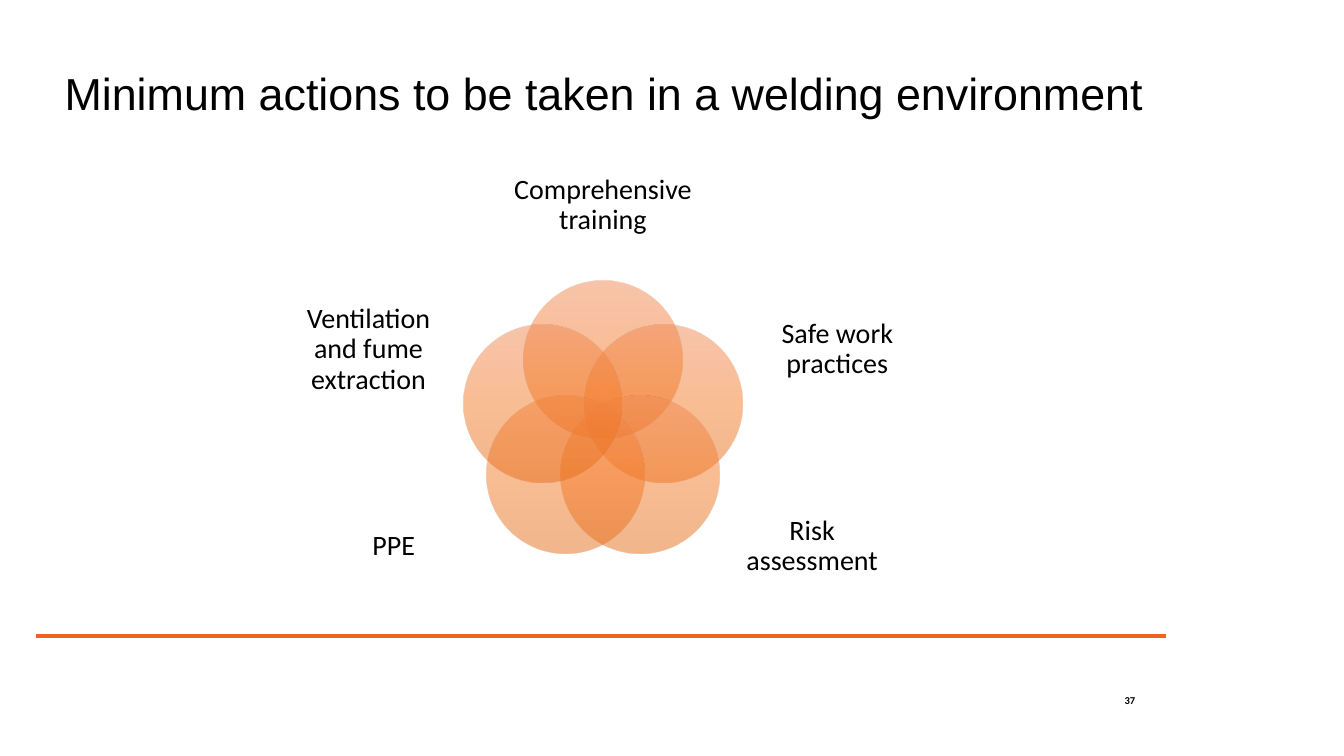
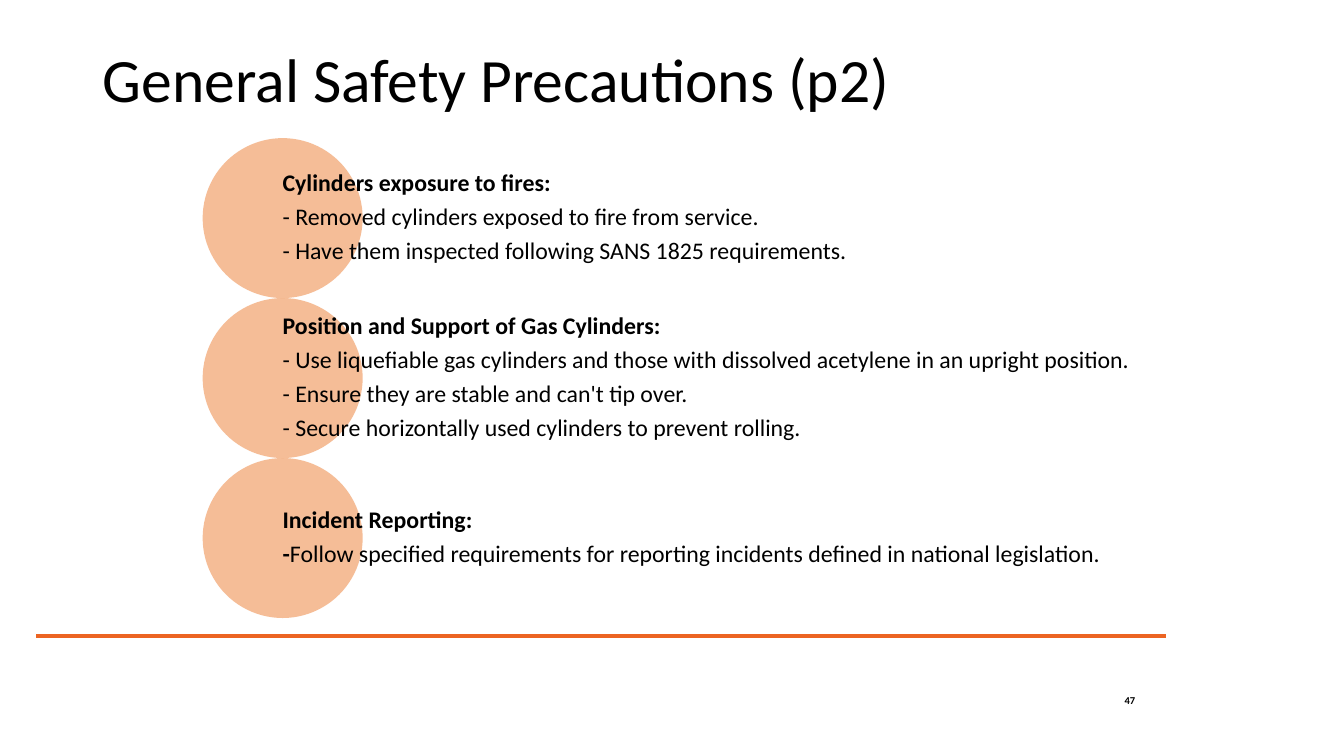
from math import cos, sin, radians
from lxml import etree
from pptx import Presentation
from pptx.dml.color import RGBColor
from pptx.enum.shapes import MSO_CONNECTOR, MSO_SHAPE
from pptx.enum.text import MSO_ANCHOR, MSO_AUTO_SIZE, PP_ALIGN
from pptx.oxml.ns import qn
from pptx.util import Inches, Pt

# Shared style
COLORS = {"text": "000000", "rule": "EC6422", "circle": "ED7D31",
          "light": "F18C57", "mid": "F67B28", "dark": "E56C19"}
FONT = "Calibri"
ALPHA = "50000"

# Content: label, then box left, top, width, height; clockwise from the top
VENN_TITLE = "Minimum actions to be taken in a welding environment"
VENN = [
    ("Comprehensive training", (5.07, 1.51, 1.82, 1.05)),
    ("Safe work practices", (7.49, 2.9, 1.63, 1.14)),
    ("Risk assessment", (7.24, 4.85, 1.63, 1.14)),
    ("PPE", (3.09, 4.85, 1.63, 1.14)),
    ("Ventilation and fume extraction", (2.84, 2.9, 1.63, 1.14)),
]
# Content: heading, bold lead of each point, points
RULES_TITLE = "General Safety Precautions (p2)"
RULES = [
    ("Cylinders exposure to fires:", "", [
        "- Removed cylinders exposed to fire from service.",
        "- Have them inspected following SANS 1825 requirements."]),
    ("Position and Support of Gas Cylinders:", "", [
        "- Use liquefiable gas cylinders and those with dissolved acetylene in an upright position.",
        "- Ensure they are stable and can't tip over.",
        "- Secure horizontally used cylinders to prevent rolling."]),
    ("Incident Reporting:", "-", [
        "Follow specified requirements for reporting incidents defined in national legislation."]),
]


def rgb(name):
    return RGBColor.from_string(COLORS[name])


def add_text(slide, box, paragraphs, size, align=PP_ALIGN.LEFT, spacing=0.9):
    """Each paragraph is a list of (text, bold) runs."""
    tf = slide.shapes.add_textbox(*map(Inches, box)).text_frame
    tf.word_wrap = True
    tf.vertical_anchor = MSO_ANCHOR.MIDDLE
    tf.margin_left = tf.margin_right = tf.margin_top = tf.margin_bottom = 0
    for i, runs in enumerate(paragraphs):
        p = tf.add_paragraph() if i else tf.paragraphs[0]
        p.alignment, p.line_spacing = align, spacing
        p.space_after = Pt(size * 0.35)
        for text, bold in runs:
            r = p.add_run()
            r.text = text
            r.font.size, r.font.bold, r.font.name = Pt(size), bold, FONT
            r.font.color.rgb = rgb("text")


def add_circle(slide, left, top, size):
    sp = slide.shapes.add_shape(MSO_SHAPE.OVAL, *map(Inches, (left, top, size, size)))
    sp.shadow.inherit = False
    sp.line.fill.background()
    return sp


def set_alpha(color):
    etree.SubElement(color, qn("a:alpha"), val=ALPHA)


def fill_gradient(sp):
    sp.fill.gradient()
    sp.fill.gradient_angle = 270
    stops = sp.fill._fill._gradFill.find(qn("a:gsLst"))
    for gs in list(stops):
        stops.remove(gs)
    for pos, name in (("0", "light"), ("50000", "mid"), ("100000", "dark")):
        gs = etree.SubElement(stops, qn("a:gs"), pos=pos)
        set_alpha(etree.SubElement(gs, qn("a:srgbClr"), val=COLORS[name]))


def new_slide(prs, title, box, size, font, number):
    slide = prs.slides.add_slide(prs.slide_layouts[5])
    # Title
    sp = slide.shapes.title
    sp.left, sp.top, sp.width, sp.height = map(Inches, box)
    tf = sp.text_frame
    tf.text = title
    tf.auto_size = MSO_AUTO_SIZE.NONE
    tf.vertical_anchor = MSO_ANCHOR.MIDDLE
    p = tf.paragraphs[0]
    p.alignment, p.line_spacing = PP_ALIGN.LEFT, 0.9
    f = p.runs[0].font
    f.size, f.name, f.color.rgb = Pt(size), font, rgb("text")
    # Footer rule and page number
    rule = slide.shapes.add_connector(
        MSO_CONNECTOR.STRAIGHT, *map(Inches, (0.36, 6.31, 11.56, 6.31)))
    rule.line.color.rgb, rule.line.width = rgb("rule"), Pt(2.25)
    etree.SubElement(rule._element.spPr, qn("a:effectLst"))
    add_text(slide, (10.72, 6.83, 0.54, 0.24), [[(number, True)]], 7.5,
             PP_ALIGN.RIGHT, 1)
    return slide


def build_venn(prs):
    slide = new_slide(prs, VENN_TITLE, (0.54, 0.4, 12.4, 1.11), 32, "Arial", "37")
    cx, cy, ring, size = 5.98, 4.2, 0.63, 1.57
    for i, (label, box) in enumerate(VENN):
        angle = radians(i * 360 / len(VENN))
        fill_gradient(add_circle(slide, cx + ring * sin(angle) - size / 2,
                                 cy - ring * cos(angle) - size / 2, size))
        add_text(slide, box, [[(label, False)]], 20, PP_ALIGN.CENTER)


def build_rules(prs):
    slide = new_slide(prs, RULES_TITLE, (0.92, 0.4, 11.5, 0.84), 44, FONT, "47")
    left, top, size = 2.01, 1.37, 1.587
    for i, (heading, lead, points) in enumerate(RULES):
        y = top + i * size
        sp = add_circle(slide, left, y, size)
        sp.fill.solid()
        sp.fill.fore_color.rgb = rgb("circle")
        set_alpha(sp._element.spPr.find(qn("a:solidFill"))[0])
        paragraphs = [[(heading, True)]]
        for point in points:
            paragraphs.append(([(lead, True)] if lead else []) + [(point, False)])
        add_text(slide, (left + size / 2, y, 8.46, size), paragraphs, 17)


def main():
    prs = Presentation()
    prs.slide_width, prs.slide_height = Inches(13.33), Inches(7.5)
    build_venn(prs)
    build_rules(prs)
    prs.save("out.pptx")


if __name__ == "__main__":
    main()
